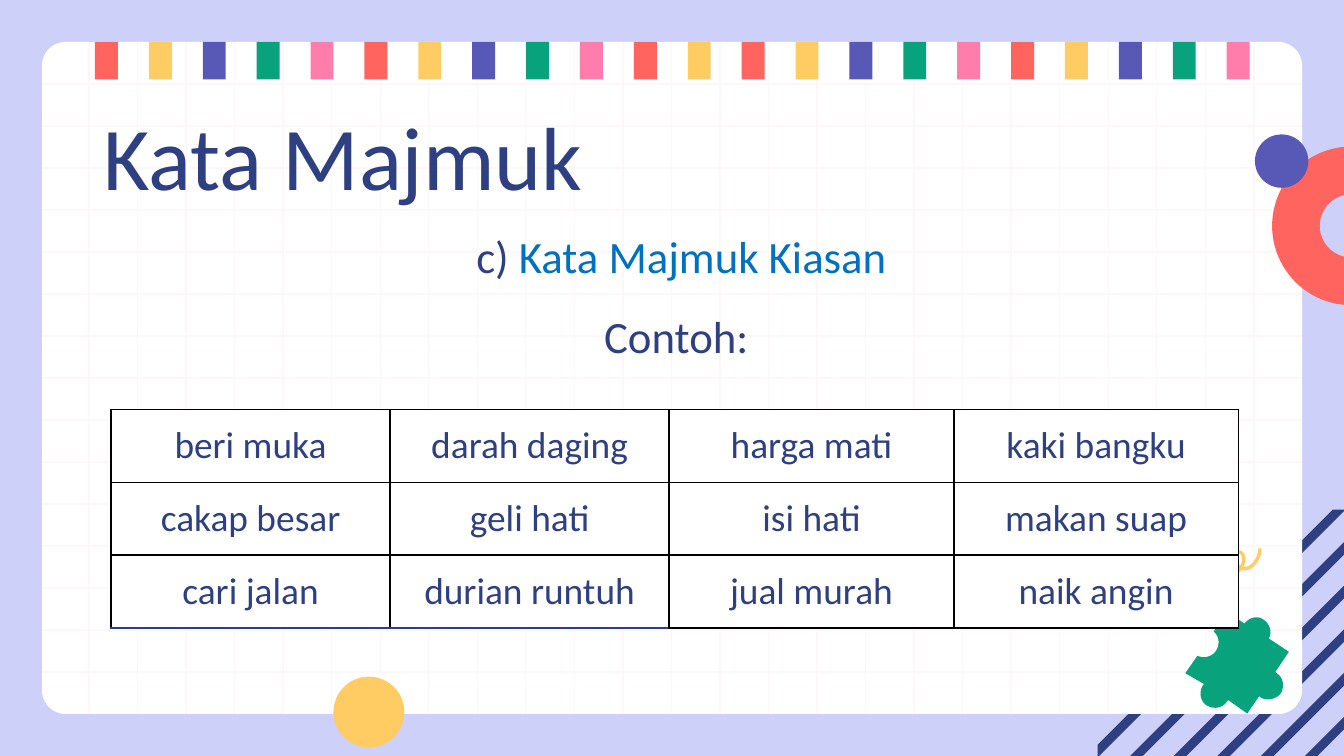
from itertools import cycle, islice

from lxml import etree
from pptx import Presentation
from pptx.dml.color import RGBColor
from pptx.enum import shapes, text
from pptx.oxml import ns
from pptx.util import Pt

COLORS = {
    "lavender": "CDD1F9", "navy": "2E4081", "white": "FFFFFF", "grid": "FFF7F7",
    "red": "FF645E", "yellow": "FFCC63", "purple": "5859B6", "green": "08A37C",
    "pink": "FF7DAB", "blue": "0070C0", "black": "000000",
}
FONT = "Calibri"
TITLE = "Kata Majmuk"
SUBTITLE = [
    [("c) ", "navy"), ("Kata Majmuk Kiasan", "blue")],
    [("Contoh: ", "navy")],
]
EXAMPLES = [
    ["beri muka", "darah daging", "harga mati", "kaki bangku"],
    ["cakap besar", "geli hati", "isi hati", "makan suap"],
    ["cari jalan", "durian runtuh", "jual murah", "naik angin"],
]
COLUMN_WIDTHS = [149.5, 149.5, 152.5, 152.5]
ROW_HEIGHT = 39

# Each step is a line (x, y) or a cubic curve (x1, y1, x2, y2, x, y).
PUZZLE = [
    (676.8, 331.9), (673.9, 329.8, 669.6, 330.5, 666.7, 334.1),
    (657.4, 327.6), (650.2, 338.4),
    (653, 340.6, 653.8, 344.9, 651.6, 348.5),
    (649.4, 352.1, 645.1, 352.8, 641.5, 351.4),
    (635, 360.7), (645.1, 366.5), (644.4, 367.2),
    (642.2, 370.8, 643, 375.8, 646.6, 378),
    (650.2, 380.2, 655.2, 379.4, 657.4, 375.8),
    (658.1, 375.1), (668.2, 382.3), (674.6, 373), (675.4, 373.7),
    (679, 375.8, 684, 374.4, 686.2, 371.5),
    (688.3, 367.9, 687.6, 362.9, 684, 360.7),
    (683.3, 360), (690.5, 349.2), (679.7, 342),
    (681.8, 339.1, 680.4, 334.1, 676.8, 331.9),
]
SQUIGGLE = [
    (652, 304.3), (653, 307, 656, 308.5, 658.5, 308.5),
    (662, 308.5, 666.3, 304, 666.3, 299.5),
    (666.3, 297, 665, 295.6, 663.1, 295.6),
    (660, 295.6, 659, 303.5, 667, 304.6),
    (671, 304.6, 675, 299, 675, 293.8),
]


def color(name):
    return RGBColor.from_string(COLORS[name])


def paint(shape, fill):
    shape.fill.solid()
    shape.fill.fore_color.rgb = color(fill)
    shape.line.fill.background()
    shape.shadow.inherit = False
    return shape


def add_shape(slide, kind, left, top, width, height, fill):
    box = (Pt(value) for value in (left, top, width, height))
    return paint(slide.shapes.add_shape(kind, *box), fill)


def add_outline(slide, points, close=True):
    start, *rest = [(Pt(x), Pt(y)) for x, y in points]
    builder = slide.shapes.build_freeform(*start)
    builder.add_line_segments(rest, close=close)
    return builder.convert_to_shape()


def flatten(steps, pieces=10):
    """Turn lines and cubic curves into a list of points."""
    points = [steps[0]]
    for step in steps[1:]:
        if len(step) == 2:
            points.append(step)
            continue
        x0, y0 = points[-1]
        x1, y1, x2, y2, x3, y3 = step
        for index in range(1, pieces + 1):
            t = index / pieces
            a, b, c, d = (1 - t) ** 3, 3 * t * (1 - t) ** 2, 3 * t * t * (1 - t), t ** 3
            points.append((a * x0 + b * x1 + c * x2 + d * x3,
                           a * y0 + b * y1 + c * y2 + d * y3))
    return points


def add_stripes(slide, left=588, top=273, right=720, bottom=405):
    """Draw diagonal bands, each cut to the corner box."""
    def ends(total):
        x, y = min(right, total - top), min(bottom, total - left)
        return (x, total - x), (total - y, y)

    for index in range(7):
        start = 1104 - 23.4 * index
        stop = min(start + 6.8, right + bottom)
        upper, lower = ends(start)
        far_upper, far_lower = ends(stop)
        cut = start < left + bottom < stop
        points = [upper, lower, *([(left, bottom)] if cut else []),
                  far_lower, far_upper, *([(right, top)] if cut else [])]
        paint(add_outline(slide, points), "navy")


def add_grid_line(slide, x1, y1, x2, y2):
    line = slide.shapes.add_connector(
        shapes.MSO_CONNECTOR.STRAIGHT, Pt(x1), Pt(y1), Pt(x2), Pt(y2))
    line.line.color.rgb = color("grid")
    line.line.width = Pt(0.75)
    etree.SubElement(line._element.spPr, ns.qn("a:effectLst"))


def add_card(slide):
    kind = shapes.MSO_SHAPE
    card = add_shape(slide, kind.ROUNDED_RECTANGLE, 22.5, 22.5, 675, 360, "white")
    card.adjustments[0] = 0.035
    for index in range(15):
        y = 45 + 22.5 * index
        add_grid_line(slide, 22.5, y, 697.5, y)
    for index in range(25):
        x = 47.7 + 26 * index
        add_grid_line(slide, x, 22.5, x, 382.5)
    bar_colors = ["red", "yellow", "purple", "green", "pink"]
    half = list(islice(cycle(bar_colors), 12))
    for index, name in enumerate(half + bar_colors * 2):
        add_shape(slide, kind.RECTANGLE, 50.9 + 28.87 * index, 22.5, 12.3, 20, name)


def add_decorations(slide):
    kind = shapes.MSO_SHAPE
    ring = add_shape(slide, kind.BLOCK_ARC, 681.5, 78.5, 85, 85, "red")
    # Angles are stored in 60000ths of a degree, scaled here by 100000.
    ring.adjustments[0], ring.adjustments[1] = 90 * 0.6, 270 * 0.6
    ring.adjustments[2] = 0.3
    add_shape(slide, kind.OVAL, 178.6, 362.5, 38, 38, "yellow")
    add_shape(slide, kind.OVAL, 672.3, 72, 28.6, 28.6, "purple")
    paint(add_outline(slide, flatten(PUZZLE)), "green")
    squiggle = add_outline(slide, flatten(SQUIGGLE), close=False)
    squiggle.fill.background()
    squiggle.line.color.rgb = color("yellow")
    squiggle.line.width = Pt(1.8)
    squiggle.shadow.inherit = False


def fill_placeholder(placeholder, box, paragraphs, size, align, spacing):
    placeholder.left, placeholder.top, placeholder.width, placeholder.height = map(Pt, box)
    frame = placeholder.text_frame
    frame.word_wrap = True
    frame.auto_size = text.MSO_AUTO_SIZE.NONE
    frame.vertical_anchor = text.MSO_ANCHOR.TOP
    frame.margin_left = frame.margin_right = frame.margin_top = frame.margin_bottom = Pt(7.2)
    for index, runs in enumerate(paragraphs):
        paragraph = frame.add_paragraph() if index else frame.paragraphs[0]
        paragraph.alignment = align
        paragraph.line_spacing = spacing
        paragraph.space_before = Pt(0)
        for words, name in runs:
            run = paragraph.add_run()
            run.text = words
            format_font(run.font, size, name)
    placeholder._element.getparent().append(placeholder._element)  # bring to front


def format_font(font, size, name):
    font.name, font.size, font.bold = FONT, Pt(size), False
    font.color.rgb = color(name)


def set_borders(cell, bottom):
    properties = cell._tc.get_or_add_tcPr()
    sides = {"lnL": "black", "lnR": "black", "lnT": "black", "lnB": bottom}
    for index, (side, name) in enumerate(sides.items()):
        line = etree.Element(ns.qn("a:" + side), w=str(Pt(1)))
        fill = etree.SubElement(line, ns.qn("a:solidFill"))
        etree.SubElement(fill, ns.qn("a:srgbClr"), val=COLORS[name])
        properties.insert(index, line)


def add_examples(slide):
    table = slide.shapes.add_table(
        len(EXAMPLES), len(COLUMN_WIDTHS), Pt(59.5), Pt(219.5),
        Pt(sum(COLUMN_WIDTHS)), Pt(ROW_HEIGHT * len(EXAMPLES))).table
    for column, width in zip(table.columns, COLUMN_WIDTHS):
        column.width = Pt(width)
    for row_index, words in enumerate(EXAMPLES):
        table.rows[row_index].height = Pt(ROW_HEIGHT)
        for column_index, word in enumerate(words):
            cell = table.cell(row_index, column_index)
            cell.text = word
            cell.vertical_anchor = text.MSO_ANCHOR.MIDDLE
            cell.margin_left = cell.margin_right = cell.margin_top = cell.margin_bottom = Pt(7.2)
            cell.fill.solid()
            cell.fill.fore_color.rgb = color("white")
            paragraph = cell.text_frame.paragraphs[0]
            paragraph.alignment = text.PP_ALIGN.CENTER
            format_font(paragraph.runs[0].font, 20, "navy")
            navy_edge = row_index == len(EXAMPLES) - 1 and column_index < 2
            set_borders(cell, "navy" if navy_edge else "black")


def main():
    presentation = Presentation()
    presentation.slide_width, presentation.slide_height = Pt(720), Pt(405)
    slide = presentation.slides.add_slide(presentation.slide_layouts[0])
    slide.background.fill.solid()
    slide.background.fill.fore_color.rgb = color("lavender")
    add_stripes(slide)
    add_card(slide)
    add_decorations(slide)
    fill_placeholder(slide.shapes.title, (48.2, 46.8, 607, 45.4),
                     [[(TITLE, "navy")]], 48, text.PP_ALIGN.LEFT, 1.0)
    fill_placeholder(slide.placeholders[1], (54, 100.8, 622, 260.6),
                     SUBTITLE, 24, text.PP_ALIGN.CENTER, 1.5)
    add_examples(slide)
    presentation.save("out.pptx")


if __name__ == "__main__":
    main()
